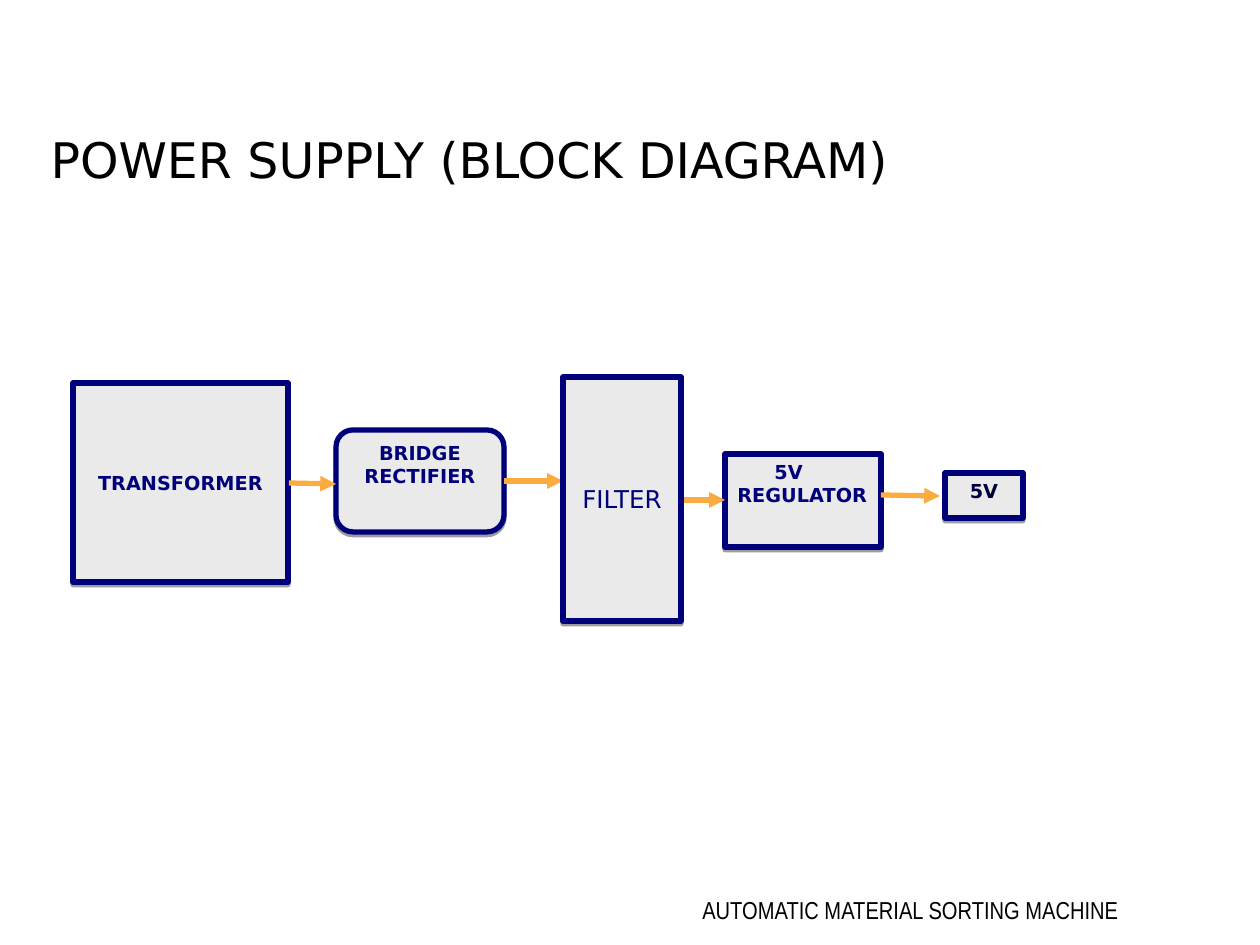
import lxml.etree
import pptx
import pptx.dml.color
import pptx.enum.shapes
import pptx.enum.text
import pptx.oxml.ns
import pptx.util

SHAPE = pptx.enum.shapes.MSO_SHAPE
ANCHOR = pptx.enum.text.MSO_ANCHOR
ALIGN = pptx.enum.text.PP_ALIGN
NAVY = "00007A"


def px(n):
    return pptx.util.Emu(round(n * 914400 / 126))


def rgb(value):
    return pptx.dml.color.RGBColor.from_string(value)


def add_xml(parent, tag, **attrs):
    return lxml.etree.SubElement(parent, pptx.oxml.ns.qn(tag), attrs)


class Diagram:
    font = "DejaVu Sans"
    fill = "EAEAEA"
    arrow_color = "FCAB40"
    line_width = pptx.util.Pt(3)

    def __init__(self, prs):
        self.s = prs.slides.add_slide(prs.slide_layouts[5])

    def label(self, sp, text, size, color, bold=False, font=None,
              anchor=ANCHOR.TOP, align=ALIGN.CENTER):
        tf = sp.text_frame
        tf.word_wrap = True
        tf.auto_size = pptx.enum.text.MSO_AUTO_SIZE.NONE
        tf.vertical_anchor = anchor
        p = tf.paragraphs[0]
        p.alignment = align
        r = p.add_run()
        r.text = text
        r.font.name = font or self.font
        r.font.size = pptx.util.Pt(size)
        r.font.bold = bold
        r.font.color.rgb = rgb(color)
        return p

    def title(self, text, x, y, w, h):
        sp = self.s.shapes.title
        sp.left, sp.top, sp.width, sp.height = px(x), px(y), px(w), px(h)
        self.label(sp, text, 28, "000000", anchor=ANCHOR.MIDDLE, align=ALIGN.LEFT)

    def block(self, text, x, y, w, h, shape=SHAPE.RECTANGLE, size=11,
              color=NAVY, bold=True, indent=0, **style):
        sp = self.s.shapes.add_shape(shape, px(x), px(y), px(w), px(h))
        sp.fill.solid()
        sp.fill.fore_color.rgb = rgb(self.fill)
        sp.line.color.rgb = rgb(NAVY)
        sp.line.width = self.line_width
        self.shadow(sp)
        p = self.label(sp, text, size, color, bold, **style)
        if indent:
            pPr = p._p.get_or_add_pPr()
            pPr.set("marL", "0")
            pPr.set("indent", str(px(indent)))

    def shadow(self, sp):
        sp.shadow.inherit = False
        effects = sp._element.spPr.find(pptx.oxml.ns.qn("a:effectLst"))
        outer = add_xml(effects, "a:outerShdw", blurRad="0", dist="20320",
                        dir="5400000", rotWithShape="0")
        color = add_xml(outer, "a:srgbClr", val="000000")
        add_xml(color, "a:alpha", val="38000")

    def arrow(self, x1, y1, x2, y2):
        c = self.s.shapes.add_connector(
            pptx.enum.shapes.MSO_CONNECTOR.STRAIGHT, px(x1), px(y1), px(x2), px(y2))
        c.line.color.rgb = rgb(self.arrow_color)
        c.line.width = self.line_width
        add_xml(c.line._get_or_add_ln(), "a:tailEnd", type="triangle")
        add_xml(c._element.spPr, "a:effectLst")

    def footer(self, text, x, y, w, h):
        sp = self.s.shapes.add_textbox(px(x), px(y), px(w), px(h))
        self.label(sp, text, 14, "000000", font="Arial Narrow")
        sp.text_frame.margin_top = sp.text_frame.margin_bottom = px(13)


def main():
    prs = pptx.Presentation()
    prs.slide_width, prs.slide_height = px(1260), px(945)
    d = Diagram(prs)
    d.title("POWER SUPPLY (BLOCK DIAGRAM)", 38, 55, 912, 207)
    d.block("TRANSFORMER", 73, 383, 215, 199, anchor=ANCHOR.MIDDLE)
    d.block("BRIDGE RECTIFIER", 336, 430, 168, 102, shape=SHAPE.ROUNDED_RECTANGLE)
    d.block("5V REGULATOR", 725, 454, 156, 93, align=ALIGN.LEFT, indent=37)
    d.block("5V", 945, 473, 78, 45, color="00003D")
    for ends in ((289, 483, 336, 484), (504, 481, 563, 481),
                 (683, 500, 725, 500), (881, 495, 940, 496)):
        d.arrow(*ends)
    d.block("FILTER", 563, 377, 118, 244, size=14, bold=False, anchor=ANCHOR.MIDDLE)
    d.footer("AUTOMATIC MATERIAL SORTING MACHINE", 669, 882, 483, 63)
    prs.save("out.pptx")


if __name__ == "__main__":
    main()
